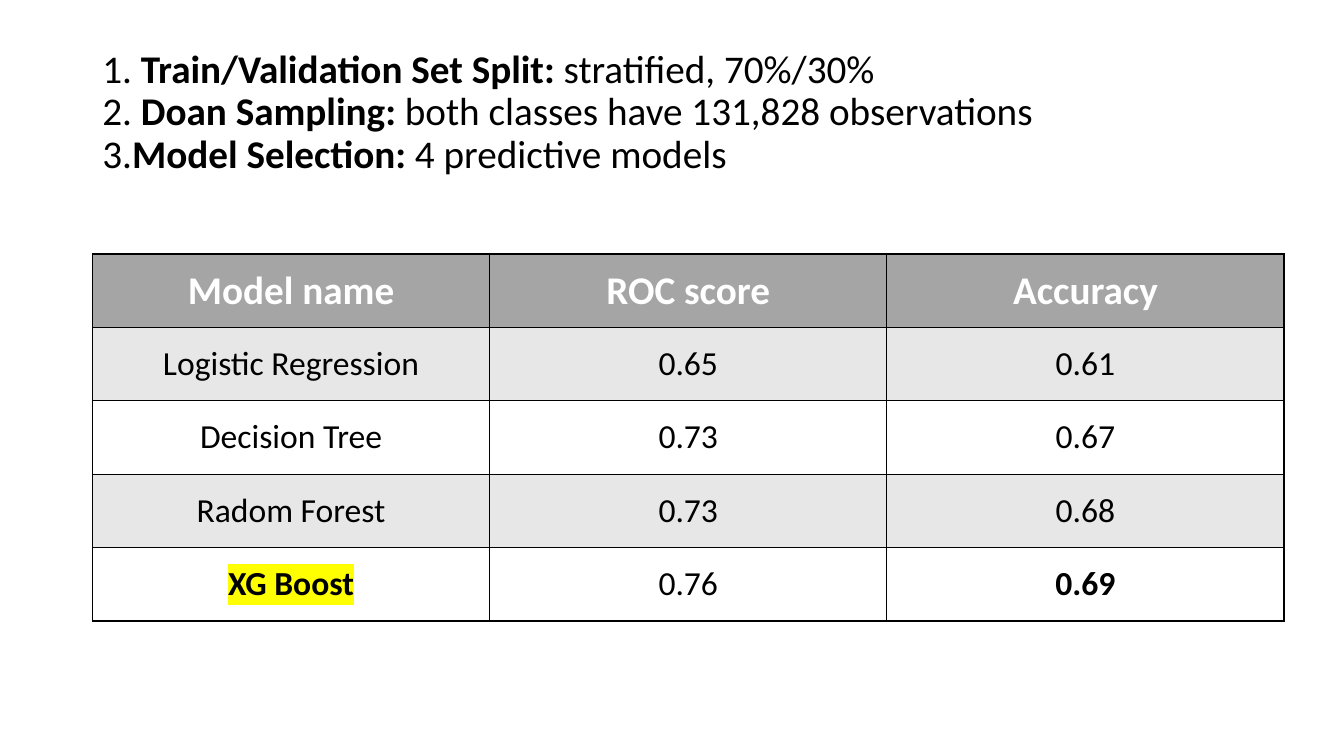
from lxml.etree import SubElement
from pptx import Presentation
from pptx.dml.color import RGBColor
from pptx.enum.text import MSO_ANCHOR as Anchor, PP_ALIGN as Align
from pptx.oxml.ns import qn
from pptx.util import Cm, Pt

FONT = "Calibri"
COLORS = {
    "text": "000000",
    "border": "000000",
    "header_text": "FFFFFF",
    "header": "A5A5A5",
    "band": "E7E7E7",
    "plain": "FFFFFF",
    "highlight": "FFFF00",
}
STEPS = [
    ("1. ", "Train/Validation Set Split: ", "stratified, 70%/30%"),
    ("2. ", "Doan Sampling: ", "both classes have 131,828 observations"),
    ("3.", "Model Selection: ", "4 predictive models"),
]
SCORES = [
    ("Model name", "ROC score", "Accuracy"),
    ("Logistic Regression", "0.65", "0.61"),
    ("Decision Tree", "0.73", "0.67"),
    ("Radom Forest", "0.73", "0.68"),
    ("XG Boost", "0.76", "0.69"),
]
BEST_MODEL = "XG Boost"
BEST_ACCURACY = "0.69"


def style_font(font, size, color, bold=None):
    font.name = FONT
    font.size = Pt(size)
    font.bold = bold
    font.color.rgb = RGBColor.from_string(COLORS[color])


def add_steps(slide, left, top, width, height):
    frame = slide.shapes.add_textbox(left, top, width, height).text_frame
    frame.word_wrap = True
    frame.vertical_anchor = Anchor.MIDDLE
    paragraph = frame.paragraphs[0]
    paragraph.line_spacing = 0.9
    style_font(paragraph.font, 28, "text")
    for index, (number, label, detail) in enumerate(STEPS):
        if index:
            paragraph.add_line_break()
        for text in (number, label, detail):
            run = paragraph.add_run()
            run.text = text
            run.font.bold = text == label


def add_solid_fill(parent, color):
    fill = SubElement(parent, qn("a:solidFill"))
    SubElement(fill, qn("a:srgbClr"), val=COLORS[color])


def highlight(run):
    mark = SubElement(run.font._element, qn("a:highlight"))
    SubElement(mark, qn("a:srgbClr"), val=COLORS["highlight"])


def style_cell(cell, fill):
    """Give a cell its borders, then its fill, in the order the schema asks for."""
    properties = cell._tc.get_or_add_tcPr()
    for side in ("a:lnL", "a:lnR", "a:lnT", "a:lnB"):
        add_solid_fill(SubElement(properties, qn(side), w=str(Pt(1))), "border")
    cell.fill.solid()
    cell.fill.fore_color.rgb = RGBColor.from_string(COLORS[fill])
    cell.vertical_anchor = Anchor.MIDDLE


def add_score_table(slide, left, top, width, height):
    frame = slide.shapes.add_table(len(SCORES), len(SCORES[0]), left, top, width, height)
    table = frame.table
    for row, values in enumerate(SCORES):
        header = row == 0
        fill = "header" if header else "band" if row % 2 else "plain"
        for column, value in enumerate(values):
            cell = table.cell(row, column)
            style_cell(cell, fill)
            paragraph = cell.text_frame.paragraphs[0]
            paragraph.alignment = Align.CENTER
            bold = header or value in (BEST_MODEL, BEST_ACCURACY)
            style_font(paragraph.font, 28 if header else 24,
                       "header_text" if header else "text", bold)
            run = paragraph.add_run()
            run.text = value
            if value == BEST_MODEL:
                highlight(run)


def main():
    presentation = Presentation()
    presentation.slide_width = Cm(33.87)
    presentation.slide_height = Cm(19.05)
    slide = presentation.slides.add_slide(presentation.slide_layouts[6])
    margin = Cm(2.33)
    add_steps(slide, margin, Cm(1.01), Cm(29.21), Cm(3.68))
    add_score_table(slide, margin, Cm(6.4), Cm(30.03), Cm(9.25))
    presentation.save("out.pptx")


if __name__ == "__main__":
    main()
